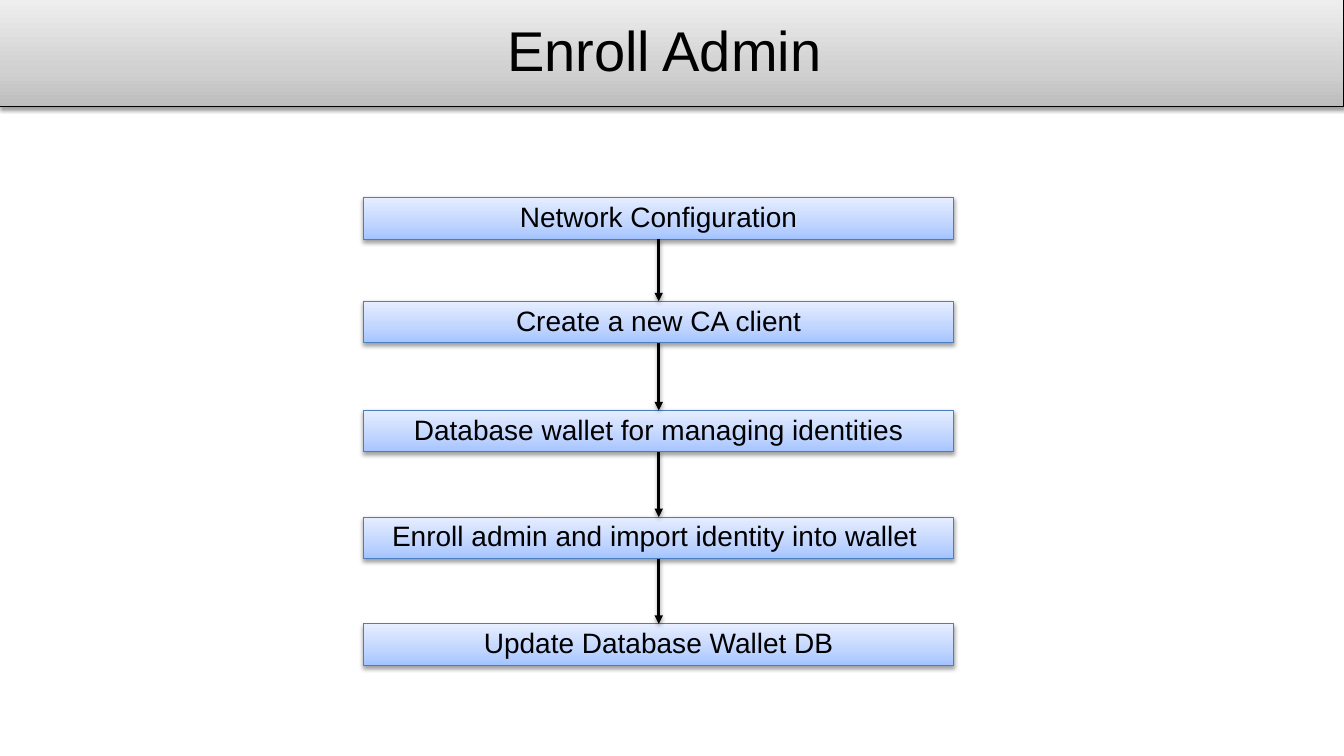
from itertools import pairwise

from lxml.etree import SubElement
from pptx import Presentation
from pptx.dml.color import RGBColor
from pptx.enum.shapes import MSO_CONNECTOR, MSO_SHAPE
from pptx.enum.text import MSO_ANCHOR, PP_ALIGN
from pptx.oxml.ns import qn
from pptx.util import Cm, Pt

BLACK = RGBColor(0x00, 0x00, 0x00)
BLUE_LINE = RGBColor(0x4B, 0x7E, 0xBC)
GREY_STOPS = (
    (0, RGBColor(0xBD, 0xBD, 0xBD)),
    (35, RGBColor(0xD1, 0xD1, 0xD1)),
    (100, RGBColor(0xEE, 0xEE, 0xEE)),
)
BLUE_STOPS = (
    (0, RGBColor(0xA4, 0xC4, 0xFF)),
    (35, RGBColor(0xBF, 0xD4, 0xFF)),
    (100, RGBColor(0xE6, 0xEE, 0xFF)),
)

SLIDE_WIDTH = 33.87
SLIDE_HEIGHT = 19.05
STEP_LEFT = 9.17
STEP_WIDTH = 14.86
STEP_HEIGHT = 1.05
STEPS = (
    (4.98, "Network Configuration"),
    (7.59, "Create a new CA client"),
    (10.34, "Database wallet for managing identities"),
    (13.03, "Enroll admin and import identity into wallet "),
    (15.72, "Update Database Wallet DB"),
)


class FlowSlide:
    font_name = "Arial"

    def __init__(self, presentation):
        self.slide = presentation.slides.add_slide(presentation.slide_layouts[6])

    def add_shadow(self, properties):
        effects = SubElement(properties, qn("a:effectLst"))
        shadow = SubElement(
            effects, qn("a:outerShdw"), blurRad=str(Pt(3.1)), dist=str(Pt(1.6)),
            dir="5400000", rotWithShape="0",
        )
        color = SubElement(shadow, qn("a:srgbClr"), val=str(BLACK))
        SubElement(color, qn("a:alpha"), val="38000")

    def fill_gradient(self, shape, stops):
        shape.fill.gradient()
        shape.fill.gradient_angle = 90
        stop_list = shape.element.spPr.find(f"{qn('a:gradFill')}/{qn('a:gsLst')}")
        for old_stop in list(stop_list):
            stop_list.remove(old_stop)
        for percent, color in stops:
            stop = SubElement(stop_list, qn("a:gs"), pos=str(percent * 1000))
            SubElement(stop, qn("a:srgbClr"), val=str(color))

    def add_box(self, left, top, width, height, text, size, stops, line_color):
        shape = self.slide.shapes.add_shape(
            MSO_SHAPE.RECTANGLE, Cm(left), Cm(top), Cm(width), Cm(height)
        )
        self.fill_gradient(shape, stops)
        shape.line.color.rgb = line_color
        shape.line.width = Pt(0.75)
        self.add_shadow(shape.element.spPr)

        frame = shape.text_frame
        frame.margin_left = frame.margin_right = 0
        frame.margin_top = frame.margin_bottom = 0
        frame.vertical_anchor = MSO_ANCHOR.MIDDLE
        frame.word_wrap = True
        paragraph = frame.paragraphs[0]
        paragraph.text = text
        paragraph.alignment = PP_ALIGN.CENTER
        paragraph.line_spacing = 0.9
        paragraph.font.name = self.font_name
        paragraph.font.size = Pt(size)
        paragraph.font.color.rgb = BLACK
        return shape

    def add_arrow(self, upper, lower):
        connector = self.slide.shapes.add_connector(MSO_CONNECTOR.STRAIGHT, 0, 0, 0, 0)
        connector.begin_connect(upper, 2)
        connector.end_connect(lower, 0)
        connector.line.color.rgb = BLACK
        connector.line.width = Pt(2)
        properties = connector.element.spPr
        SubElement(properties.find(qn("a:ln")), qn("a:tailEnd"), type="triangle")
        self.add_shadow(properties)


def main():
    presentation = Presentation()
    presentation.slide_width = Cm(SLIDE_WIDTH)
    presentation.slide_height = Cm(SLIDE_HEIGHT)

    flow = FlowSlide(presentation)
    flow.add_box(0, 0, SLIDE_WIDTH, 2.69, "Enroll Admin ", 40, GREY_STOPS, BLACK)
    boxes = [
        flow.add_box(STEP_LEFT, top, STEP_WIDTH, STEP_HEIGHT, text, 20, BLUE_STOPS, BLUE_LINE)
        for top, text in STEPS
    ]
    for upper, lower in pairwise(boxes):
        flow.add_arrow(upper, lower)

    presentation.save("out.pptx")


if __name__ == "__main__":
    main()
